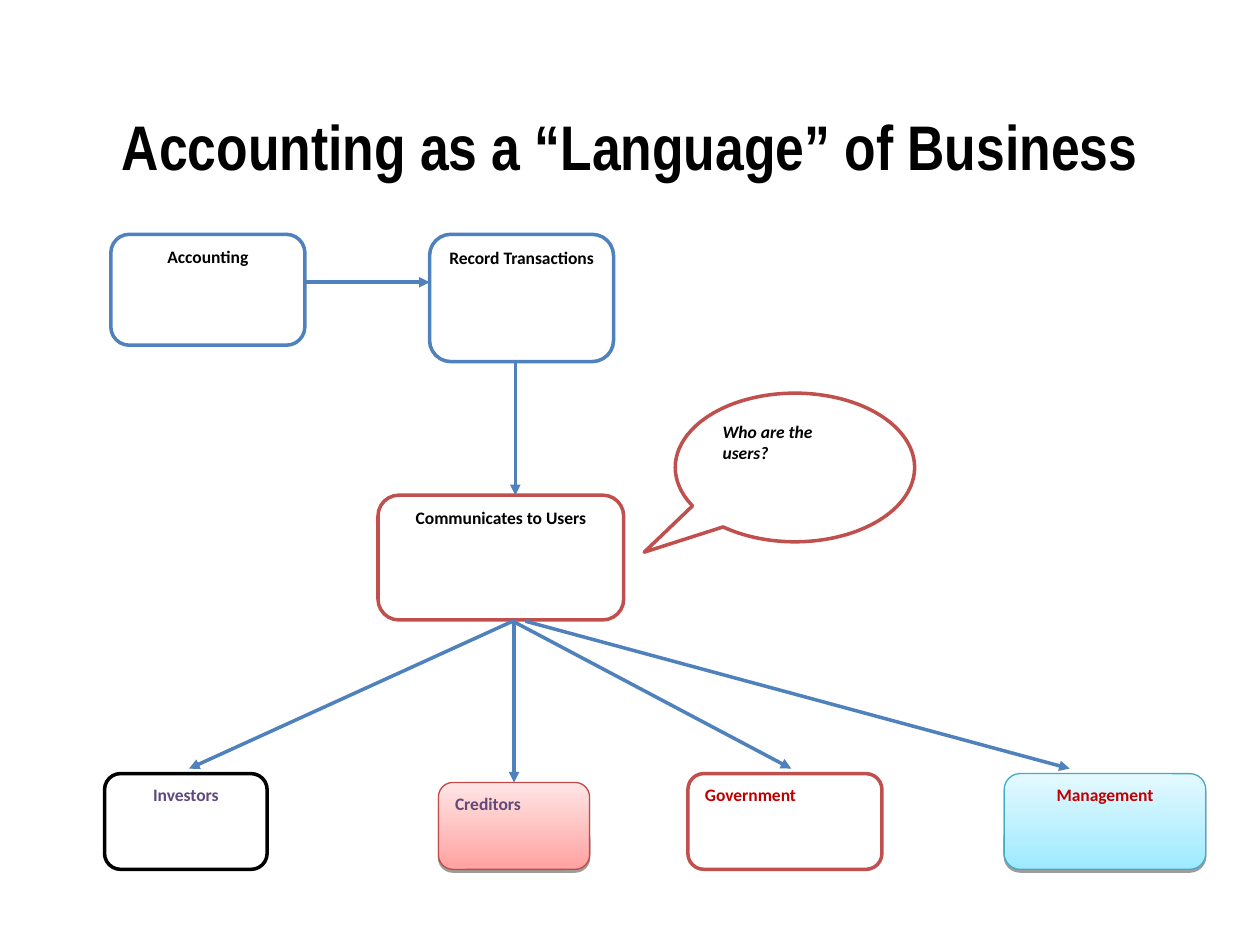
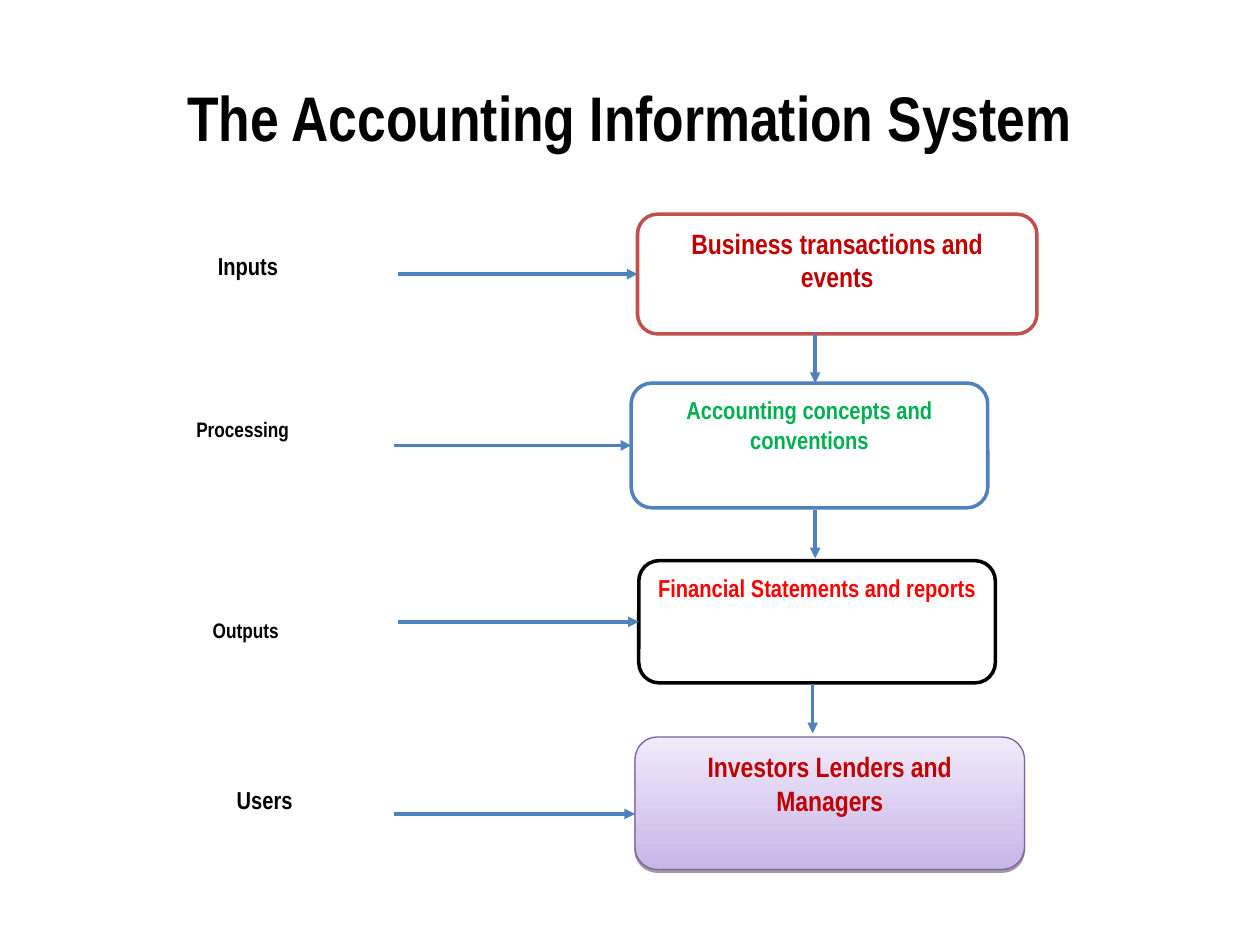
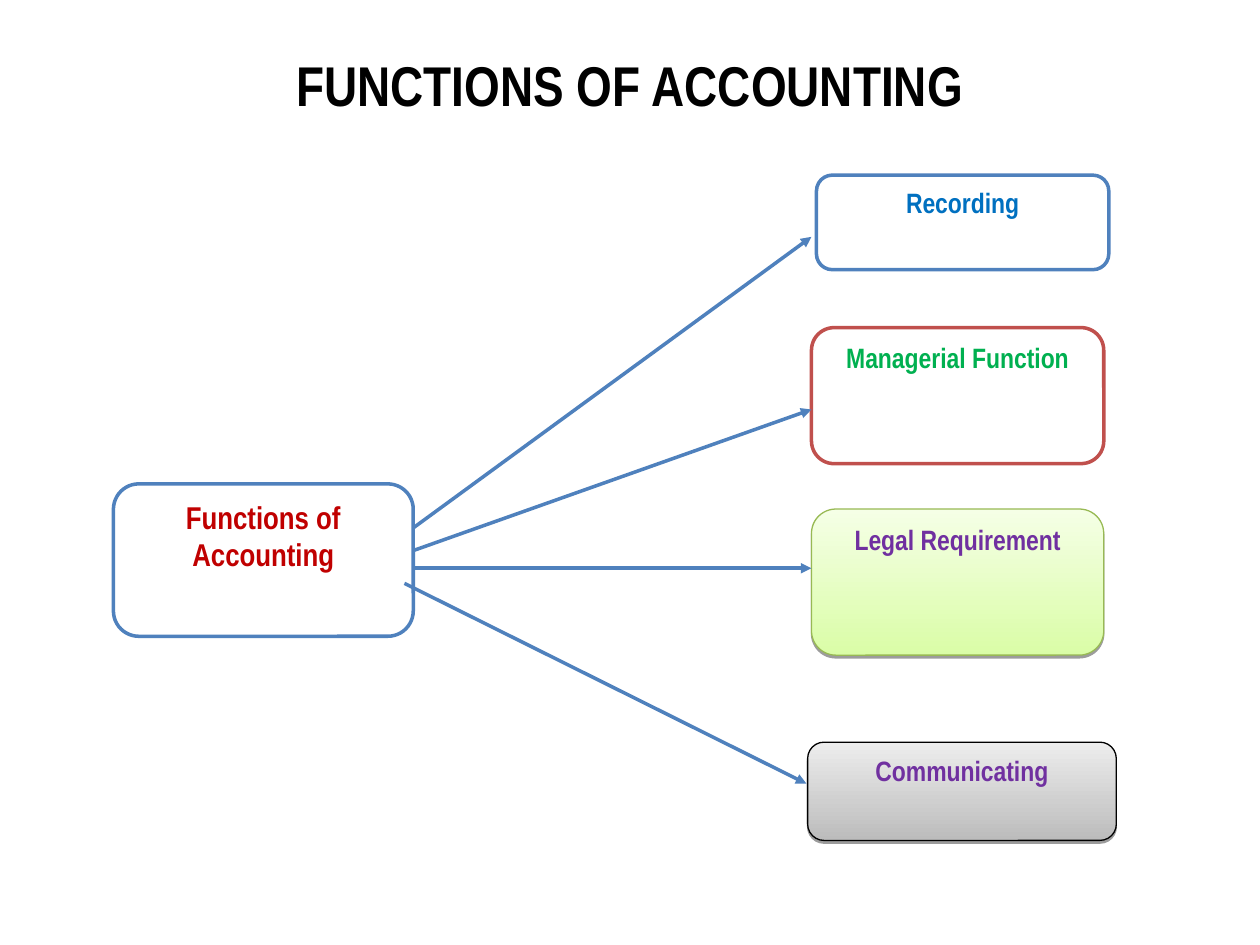
from lxml import etree
from pptx import Presentation
from pptx.dml.color import RGBColor
from pptx.enum.shapes import MSO_CONNECTOR, MSO_SHAPE
from pptx.enum.text import MSO_ANCHOR, PP_ALIGN
from pptx.oxml.ns import qn
from pptx.util import Inches, Pt

NARROW, CALIBRI = "Arial Narrow", "Calibri"
BLACK, WHITE = "000000", "FFFFFF"
BLUE, RED = "4F81BD", "C0504D"
DARK_RED, GREEN, PURPLE, PLUM = "C00000", "00B050", "7030A0", "604A7B"
TOP, LEFT = 0, 1

# Bottom colour, top colour and outline of the shaded boxes
PINK = ("FFA2A1", "FFE5E5", "BE4B48")
AQUA = ("9EEAFF", "E4F9FF", "46AAC5")
LILAC = ("C9B5E8", "F0EAF9", "7D60A0")
LIME = ("DAFDA7", "F5FFE6", "98B954")
GRAY = ("BCBCBC", "EDEDED", BLACK)


def rgb(color):
    return RGBColor.from_string(color)


def write(shape, text, size, color=BLACK, font=NARROW, align=PP_ALIGN.CENTER,
          anchor=MSO_ANCHOR.TOP, space_after=10, italic=False):
    frame = shape.text_frame
    frame.word_wrap = True
    frame.vertical_anchor = anchor
    frame.text = text
    paragraph = frame.paragraphs[0]
    paragraph.alignment = align
    paragraph.space_after = Pt(space_after)
    paragraph.font.name = font
    paragraph.font.size = Pt(size)
    paragraph.font.bold = True
    paragraph.font.italic = italic
    paragraph.font.color.rgb = rgb(color)


def add_text(slide, place, text, size, **style):
    box = slide.shapes.add_textbox(*map(Inches, place))
    write(box, text, size, **style)


def add_title(slide, text, top, height=1.25, size=36):
    add_text(slide, (0.5, top, 9, height), text, size,
             anchor=MSO_ANCHOR.MIDDLE, space_after=0)


def shade(shape, bottom, top):
    """Fill with a vertical gradient and cast a thin shadow downwards."""
    shape.fill.gradient()
    shape.fill.gradient_angle = 90
    for stop, color in zip(shape.fill.gradient_stops, (bottom, top)):
        stop.color.rgb = rgb(color)
    effects = shape._element.spPr.find(qn("a:effectLst"))
    shadow = etree.SubElement(effects, qn("a:outerShdw"), blurRad="0",
                              dist=str(Pt(1.6)), dir="5400000", rotWithShape="0")
    black = etree.SubElement(shadow, qn("a:srgbClr"), val=BLACK)
    etree.SubElement(black, qn("a:alpha"), val="38000")


def add_box(slide, place, text, size, color, look, kind=MSO_SHAPE.ROUNDED_RECTANGLE, **style):
    """Look is an outline colour for a white box, or a shading triple."""
    box = slide.shapes.add_shape(kind, *map(Inches, place))
    box.shadow.inherit = False
    if isinstance(look, tuple):
        bottom, top, outline = look
        shade(box, bottom, top)
        box.line.width = Pt(0.75)
    else:
        outline = look
        box.fill.solid()
        box.fill.fore_color.rgb = rgb(WHITE)
        box.line.width = Pt(2)
    box.line.color.rgb = rgb(outline)
    write(box, text, size, color, **style)
    return box


def add_arrow(slide, start, end, target=None, side=LEFT):
    arrow = slide.shapes.add_connector(MSO_CONNECTOR.STRAIGHT, *map(Inches, start + end))
    if target is not None:
        arrow.end_connect(target, side)
    arrow.line.color.rgb = rgb(BLUE)
    arrow.line.width = Pt(2)
    etree.SubElement(arrow.line._get_or_add_ln(), qn("a:tailEnd"), type="triangle")
    etree.SubElement(arrow._element.spPr, qn("a:effectLst"))


def build_language(slide):
    add_title(slide, "Accounting as a “Language” of Business", 0.53)
    left = PP_ALIGN.LEFT
    for place, text, look in (
        ((0.88, 1.86, 1.54, 0.88), "Accounting", BLUE),
        ((3.41, 1.86, 1.46, 1.01), "Record Transactions", BLUE),
        ((3, 3.93, 1.95, 0.99), "Communicates to Users", RED),
    ):
        add_box(slide, place, text, 10, BLACK, look, font=CALIBRI)

    question = add_box(slide, (5.36, 3.12, 1.9, 1.18), "Who are the\vusers?", 10, BLACK, RED,
                       MSO_SHAPE.OVAL_CALLOUT, font=CALIBRI, align=left, italic=True)
    question.adjustments[0] = -0.63
    question.adjustments[1] = 0.57

    users = {}
    for place, text, color, look, align in (
        ((0.83, 6.14, 1.29, 0.76), "Investors", PLUM, BLACK, PP_ALIGN.CENTER),
        ((3.48, 6.21, 1.2, 0.69), "Creditors", PLUM, PINK, left),
        ((5.46, 6.14, 1.54, 0.76), "Government", DARK_RED, RED, left),
        ((7.97, 6.14, 1.6, 0.76), "Management", DARK_RED, AQUA, PP_ALIGN.CENTER),
    ):
        users[text] = add_box(slide, place, text, 10, color, look, font=CALIBRI, align=align)

    add_arrow(slide, (2.42, 2.24), (3.41, 2.24))
    add_arrow(slide, (4.09, 2.87), (4.09, 3.93))
    add_arrow(slide, (4.08, 4.92), (4.08, 6.21), users["Creditors"], TOP)
    for start_x, end_x in ((4.07, 6.28), (4.17, 8.49), (4.07, 1.5)):
        add_arrow(slide, (start_x, 4.93), (end_x, 6.1))


def build_system(slide):
    add_title(slide, "The Accounting Information System", 0.3)
    stages = (
        ((1.63, 1.94, 2.08, 0.56), "Inputs", 14, 3.16,
         (5.06, 1.7, 3.17, 0.95), "Business transactions and events", 16, DARK_RED, RED),
        ((1.46, 3.26, 2.56, 0.56), "Processing", 12, 3.13,
         (5.01, 3.04, 2.83, 0.99), "Accounting concepts and conventions", 14, GREEN, BLUE),
        ((1.59, 4.85, 2.56, 0.56), "Outputs", 12, 3.16,
         (5.07, 4.45, 2.83, 0.97), "Financial Statements and reports", 14, "FF0000", BLACK),
        ((1.78, 6.18, 2.21, 0.56), "Users", 14, None,
         (5.04, 5.85, 3.09, 1.05), "Investors Lenders and Managers", 16, DARK_RED, LILAC),
    )
    for label_place, label, label_size, arrow_x, place, text, size, color, look in stages:
        box = add_box(slide, place, text, size, color, look)
        add_text(slide, label_place, label, label_size, align=PP_ALIGN.LEFT)
        if arrow_x:
            x, y, _, height = place
            middle = y + height / 2
            add_arrow(slide, (arrow_x, middle), (x, middle), box)
    add_arrow(slide, (3.13, 6.46), (5.04, 6.46))
    for x, start_y, end_y in ((6.47, 2.65, 3.04), (6.47, 4.05, 4.43), (6.45, 5.43, 5.82)):
        add_arrow(slide, (x, start_y), (x, end_y))


def build_functions(slide):
    add_title(slide, "FUNCTIONS OF ACCOUNTING", 0.3, height=0.74, size=32)
    add_box(slide, (0.9, 3.84, 2.38, 1.21), "Functions of Accounting", 18, DARK_RED, BLUE)
    for place, text, color, look, start, end in (
        ((6.48, 1.39, 2.32, 0.75), "Recording", "0070C0", BLUE, (3.28, 4.19), (6.44, 1.88)),
        ((6.44, 2.6, 2.32, 1.08), "Managerial Function", GREEN, RED, (3.28, 4.37), (6.44, 3.25)),
        ((6.44, 4.04, 2.32, 1.16), "Legal Requirement", PURPLE, LIME, (3.28, 4.51), (6.44, 4.51)),
        ((6.41, 5.89, 2.45, 0.78), "Communicating", PURPLE, GRAY, (3.21, 4.63), (6.4, 6.22)),
    ):
        add_box(slide, place, text, 16, color, look)
        add_arrow(slide, start, end)


def main():
    deck = Presentation()
    deck.slide_width, deck.slide_height = Inches(10), Inches(7.5)
    for build in (build_language, build_system, build_functions):
        build(deck.slides.add_slide(deck.slide_layouts[6]))
    deck.save("out.pptx")


if __name__ == "__main__":
    main()
